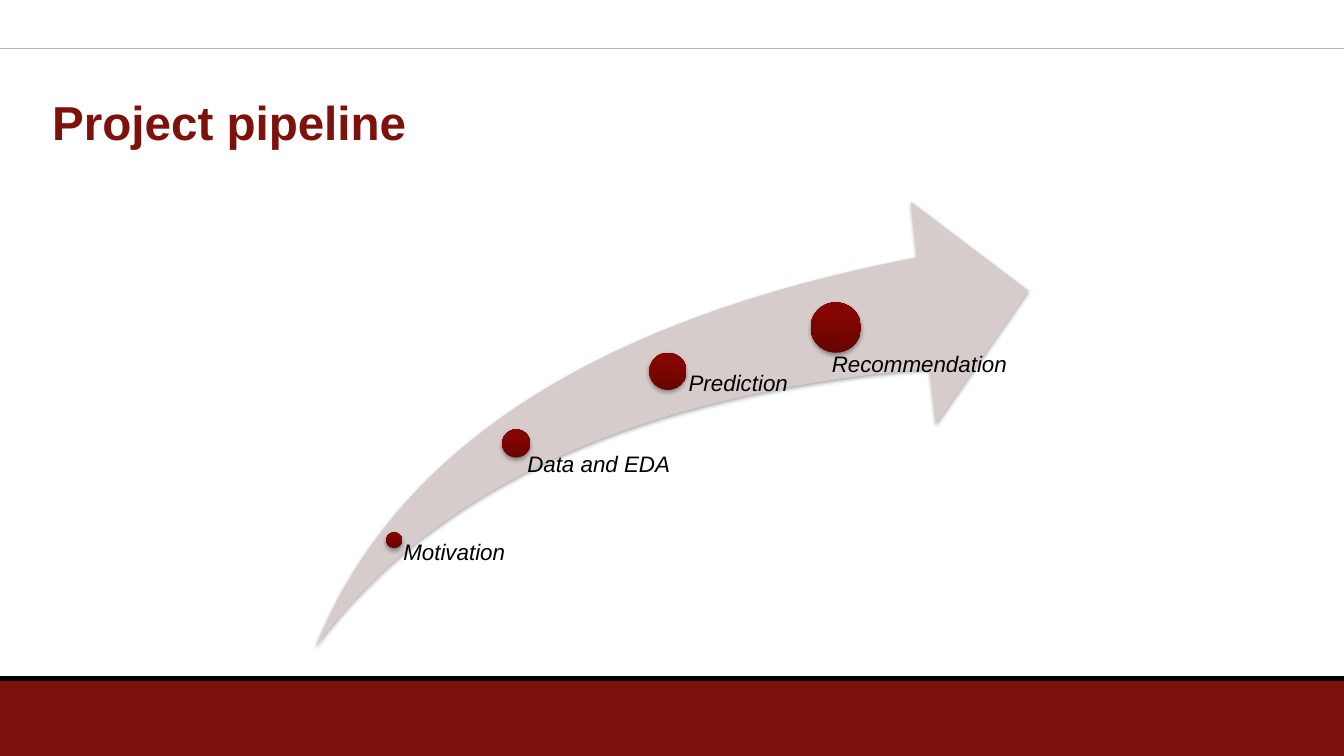
from lxml import etree
from pptx import Presentation
from pptx.dml.color import RGBColor
from pptx.enum.shapes import MSO_CONNECTOR, MSO_SHAPE
from pptx.enum.text import MSO_ANCHOR
from pptx.oxml.ns import qn
from pptx.util import Inches, Pt

RECTANGLE, OVAL, SWOOSH = MSO_SHAPE.RECTANGLE, MSO_SHAPE.OVAL, MSO_SHAPE.SWOOSH_ARROW
STRAIGHT = MSO_CONNECTOR.STRAIGHT
TOP, MIDDLE = MSO_ANCHOR.TOP, MSO_ANCHOR.MIDDLE

MAROON = RGBColor(0x7D, 0x11, 0x0C)
DOT_DARK = RGBColor(0x66, 0x05, 0x00)
DOT_LIGHT = RGBColor(0x85, 0x06, 0x00)
SWOOSH_PINK = RGBColor(0xD7, 0xCC, 0xCC)
RULE_GRAY = RGBColor(0xB0, 0xB2, 0xB4)
BLACK = RGBColor(0, 0, 0)
FONT = "Arial"
WIDTH, HEIGHT = 13.33, 7.5

# Content
TITLE = "Project pipeline"
RULES = [(0.48, RULE_GRAY, 0.75), (6.73, BLACK, 3.75)]  # y, colour, weight
# Label, dot (left, top, diameter), label box, left inset
STAGES = [
    ("Motivation", (3.83, 5.28, 0.16), (3.91, 5.37, 1.21, 1.05), 0.09),
    ("Data and EDA", (4.98, 4.26, 0.28), (5.08, 4.5, 1.94, 1.81), 0.15),
    ("Prediction", (6.44, 3.5, 0.37), (6.63, 3.69, 1.48, 2.73), 0.2),
    ("Recommendation", (8.04, 3, 0.5), (7.98, 3.5, 2.1, 2.67), 0.27),
]


def add_shape(page, kind, area):
    shape = page.shapes.add_shape(kind, *map(Inches, area))
    shape.shadow.inherit = False
    shape.line.fill.background()
    return shape


def add_soft_shadow(shape):
    effects = shape.element.spPr.find(qn("a:effectLst"))
    shadow = etree.SubElement(
        effects, qn("a:outerShdw"), blurRad=str(Pt(3.1)), dist=str(Pt(1.8)),
        dir="5400000", rotWithShape="0")
    color = etree.SubElement(shadow, qn("a:srgbClr"), val="000000")
    etree.SubElement(color, qn("a:alpha"), val="35000")


def add_text(page, text, area, size, color, insets, anchor=TOP):
    box = page.shapes.add_textbox(*map(Inches, area))
    frame = box.text_frame
    frame.word_wrap = True
    frame.vertical_anchor = anchor
    frame.margin_left, frame.margin_top, frame.margin_right, frame.margin_bottom = map(
        Inches, insets)
    para = frame.paragraphs[0]
    span = para.add_run()
    span.text = text
    span.font.name = FONT
    span.font.size = Pt(size)
    span.font.color.rgb = color
    return para, span


def main():
    deck = Presentation()
    deck.slide_width, deck.slide_height = Inches(WIDTH), Inches(HEIGHT)
    page = deck.slides.add_slide(deck.slide_layouts[6])

    # Footer band and rules
    band = add_shape(page, RECTANGLE, (0, 6.75, WIDTH, 0.75))
    band.fill.solid()
    band.fill.fore_color.rgb = MAROON
    for y, color, weight in RULES:
        rule = page.shapes.add_connector(
            STRAIGHT, 0, Inches(y), Inches(WIDTH), Inches(y))
        rule.line.color.rgb = color
        rule.line.width = Pt(weight)
        etree.SubElement(rule.element.spPr, qn("a:effectLst"))

    # Title
    _, span = add_text(page, TITLE, (0.42, 0.58, 10.37, 1.25), 34, MAROON,
                       (0.1, 0.05, 0.1, 0.05), MIDDLE)
    span.font.bold = True

    # Rising arrow
    arrow = add_shape(page, SWOOSH, (3.13, 2, 7.07, 4.42))
    arrow.adjustments[0] = arrow.adjustments[1] = 0.25
    arrow.fill.solid()
    arrow.fill.fore_color.rgb = SWOOSH_PINK
    add_soft_shadow(arrow)

    # Stages along the arrow
    for label, (left, top, diameter), area, inset in STAGES:
        dot = add_shape(page, OVAL, (left, top, diameter, diameter))
        dot.fill.gradient()
        dot.fill.gradient_angle = 90
        stops = zip(dot.fill.gradient_stops, (0, 0.8), (DOT_DARK, DOT_LIGHT))
        for stop, position, color in stops:
            stop.position = position
            stop.color.rgb = color
        add_soft_shadow(dot)
        para, span = add_text(page, label, area, 16, BLACK, (inset, 0, 0, 0))
        para.line_spacing = 0.9
        span.font.italic = True

    deck.save("out.pptx")


if __name__ == "__main__":
    main()
